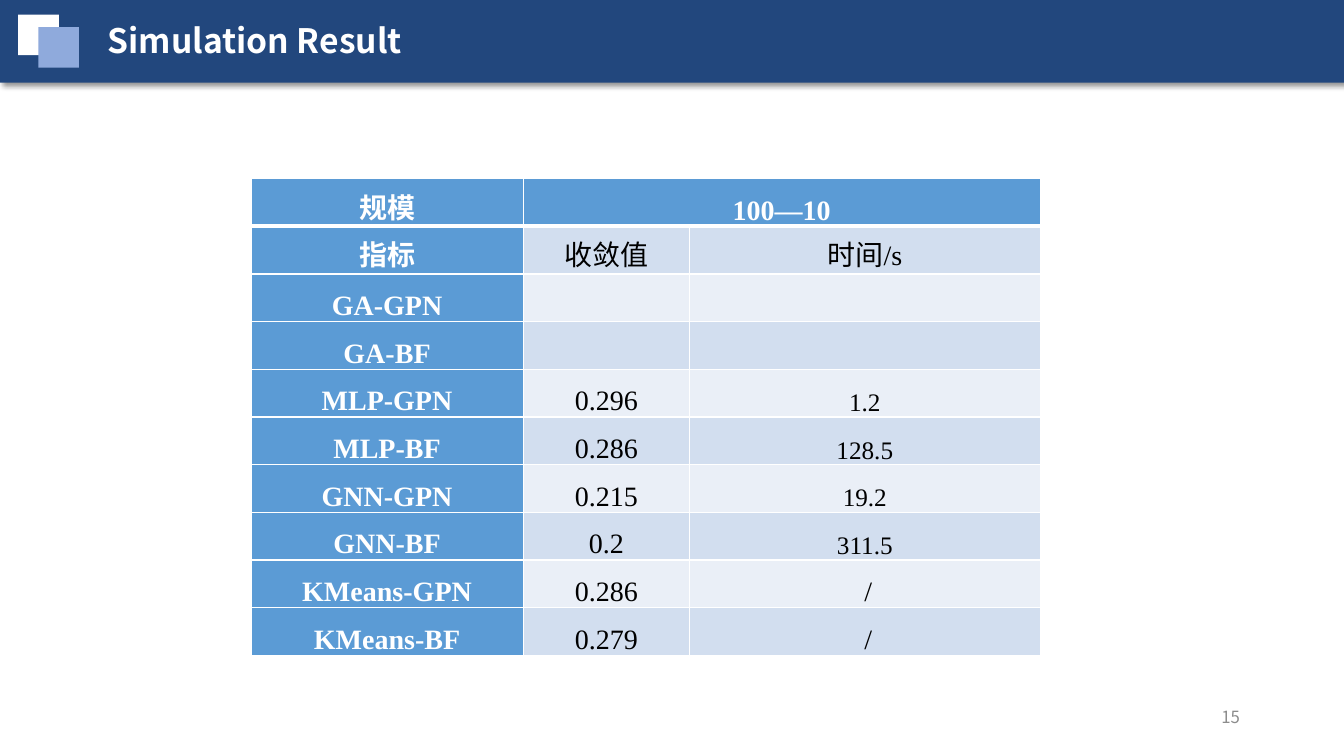
"""Build the simulation result slide with its comparison table."""
from lxml import etree
from pptx import Presentation
from pptx.dml.color import RGBColor
from pptx.enum import shapes, text
from pptx.oxml import ns
from pptx.util import Pt

COLORS = {
    "navy": "22477D", "white": "FFFFFF", "periwinkle": "8FAADC",
    "gray": "8C8C8C", "black": "000000", "blue": "5B9BD5",
    "band_dark": "D2DEEF", "band_light": "EAEFF7",
}
SANS, SERIF = "Noto Sans CJK SC", "Times New Roman"
COL_WIDTHS = (194.4, 118.8, 250.5)
ROW_HEIGHT = 34.05
ROWS = [
    ("规模", "100—10", ""),
    ("指标", "收敛值", "时间/s"),
    ("GA-GPN", "", ""),
    ("GA-BF", "", ""),
    ("MLP-GPN", "0.296", "1.2"),
    ("MLP-BF", "0.286", "128.5"),
    ("GNN-GPN", "0.215", "19.2"),
    ("GNN-BF", "0.2", "311.5"),
    ("KMeans-GPN", "0.286", " /"),
    ("KMeans-BF", "0.279", " /"),
]


def rgb(name):
    """Return the named colour."""
    return RGBColor.from_string(COLORS[name])


def sub(parent, tag, **attrs):
    """Append a DrawingML element and return it."""
    values = {key: str(value) for key, value in attrs.items()}
    return etree.SubElement(parent, ns.qn(f"a:{tag}"), values)


def write(tf, content, *, size, color, font=SANS, bold=False, align=text.PP_ALIGN.LEFT):
    """Write one formatted paragraph into a text frame."""
    p = tf.paragraphs[0]
    p.alignment = align
    r = p.add_run()
    r.text = content
    r.font.size, r.font.bold, r.font.name = Pt(size), bold, font
    r.font.color.rgb = rgb(color)
    sub(r.font._element, "ea", typeface=SANS)


def add_text(s, content, left, top, width, height, *, anchor=text.MSO_ANCHOR.TOP, **fmt):
    """Add a text box."""
    tf = s.shapes.add_textbox(Pt(left), Pt(top), Pt(width), Pt(height)).text_frame
    tf.word_wrap = True
    tf.vertical_anchor = anchor
    write(tf, content, **fmt)


def add_rect(s, left, top, width, height, color):
    """Add a plain filled rectangle."""
    sp = s.shapes.add_shape(shapes.MSO_SHAPE.RECTANGLE, Pt(left), Pt(top), Pt(width), Pt(height))
    sp.shadow.inherit = False
    sp.fill.solid()
    sp.fill.fore_color.rgb = rgb(color)
    sp.line.fill.background()
    return sp


def add_shadow(sp):
    """Give a shape a soft shadow to the lower right."""
    effects = sp._element.spPr.find(ns.qn("a:effectLst"))
    shadow = sub(effects, "outerShdw", blurRad=Pt(4), dist=Pt(3), dir=45 * 60000,
                 algn="tl", rotWithShape=0)
    color = sub(shadow, "srgbClr", val=COLORS["black"])
    sub(color, "alpha", val=40000)


def style_cell(cell, fill, top=1, bottom=1):
    """Set the borders and fill of a cell."""
    tc_pr = cell._tc.get_or_add_tcPr()
    for side, width in (("L", 1), ("R", 1), ("T", top), ("B", bottom)):
        line = sub(tc_pr, f"ln{side}", w=Pt(width))
        sub(sub(line, "solidFill"), "srgbClr", val=COLORS["white"])
    cell.fill.solid()
    cell.fill.fore_color.rgb = rgb(fill)


def fill_cell(cell, content, **fmt):
    """Write centred text at the bottom of a cell."""
    cell.vertical_anchor = text.MSO_ANCHOR.BOTTOM
    cell.margin_left = cell.margin_right = Pt(5)
    cell.margin_top = cell.margin_bottom = 0
    write(cell.text_frame, content, font=SERIF, align=text.PP_ALIGN.CENTER, **fmt)


def add_results(s, left, top):
    """Add the table of convergence values and times."""
    frame = s.shapes.add_table(len(ROWS), len(COL_WIDTHS), Pt(left), Pt(top),
                               Pt(sum(COL_WIDTHS)), Pt(ROW_HEIGHT * len(ROWS)))
    table = frame.table
    for column, width in zip(table.columns, COL_WIDTHS):
        column.width = Pt(width)
    for i, values in enumerate(ROWS):
        table.rows[i].height = Pt(ROW_HEIGHT)
        band = "band_dark" if i % 2 else "band_light"
        for j, value in enumerate(values):
            cell = table.cell(i, j)
            header = i == 0 or j == 0
            style_cell(cell, "blue" if header else band,
                       top=3 if i == 1 else 1, bottom=3 if i == 0 else 1)
            if value:
                small = j == 2 and value[0].isdigit()
                fill_cell(cell, value, size=18 if small else 20,
                          color="white" if header else "black", bold=header)
    table.cell(0, 1).merge(table.cell(0, 2))


def main():
    """Build and save the slide."""
    prs = Presentation()
    prs.slide_width, prs.slide_height = Pt(960), Pt(540)
    s = prs.slides.add_slide(prs.slide_layouts[6])
    add_shadow(add_rect(s, 0, 0, 960, 59, "navy"))
    add_rect(s, 13, 10.5, 29, 29, "white")
    add_rect(s, 27.4, 19.4, 29, 29, "periwinkle")
    add_text(s, "15", 676.8, 497.5, 216, 28.8, size=12, color="gray",
             align=text.PP_ALIGN.RIGHT, anchor=text.MSO_ANCHOR.MIDDLE)
    add_text(s, "Simulation Result", 69.8, 10.8, 316, 36, size=24, color="white", bold=True)
    add_results(s, 179.3, 127.6)
    prs.save("out.pptx")


if __name__ == "__main__":
    main()
